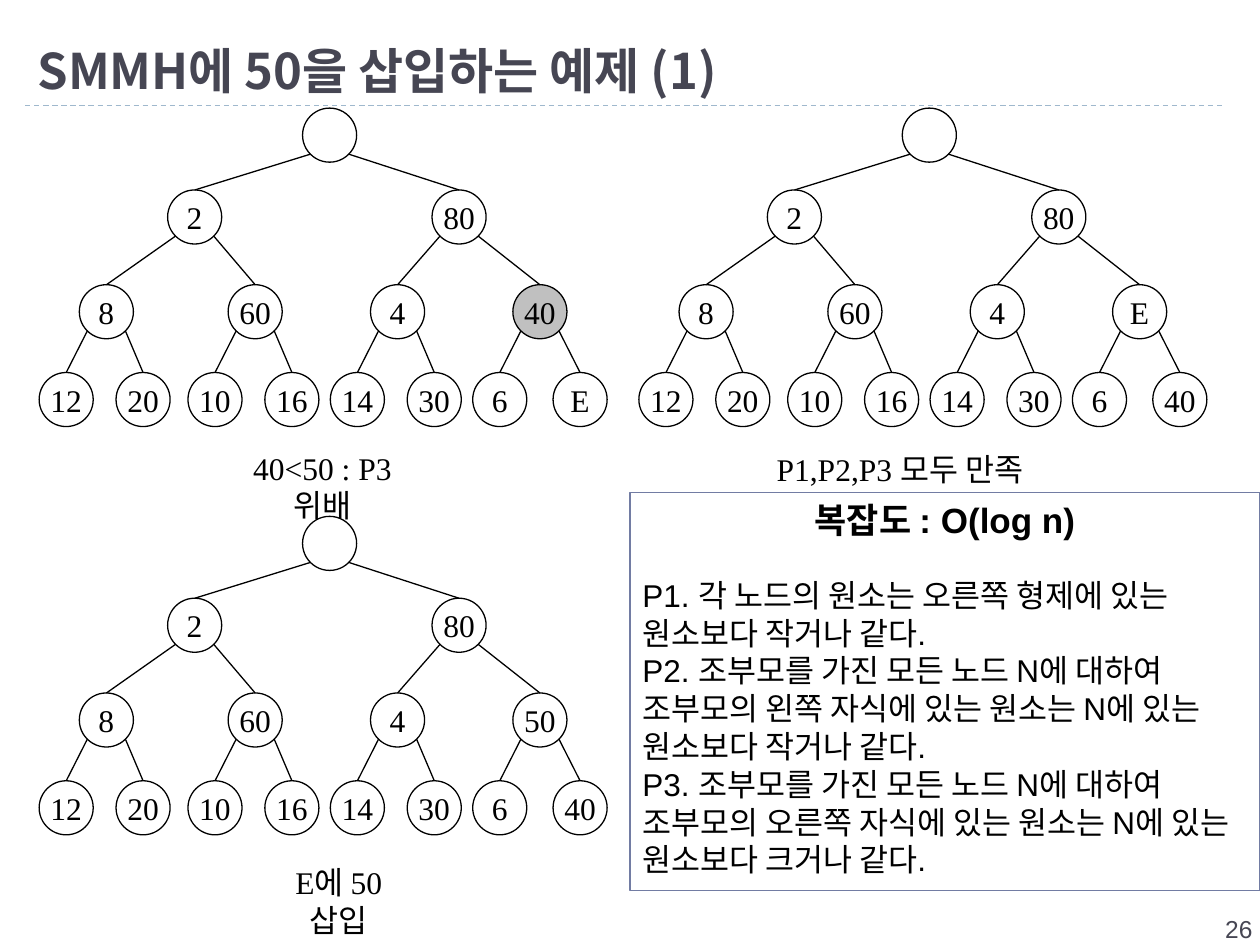
from pptx import Presentation
from pptx.dml.color import RGBColor
from pptx.enum.dml import MSO_LINE
from pptx.enum.shapes import MSO_CONNECTOR, MSO_SHAPE
from pptx.enum.text import MSO_ANCHOR, PP_ALIGN
from pptx.oxml.ns import qn
from pptx.util import Cm, Pt
from lxml import etree

DASH = MSO_LINE.DASH
STRAIGHT = MSO_CONNECTOR.STRAIGHT
OVAL, RECT = MSO_SHAPE.OVAL, MSO_SHAPE.RECTANGLE
TOP, MIDDLE, BOTTOM = MSO_ANCHOR.TOP, MSO_ANCHOR.MIDDLE, MSO_ANCHOR.BOTTOM
LEFT, CENTER, RIGHT = PP_ALIGN.LEFT, PP_ALIGN.CENTER, PP_ALIGN.RIGHT

BLACK = RGBColor(0x00, 0x00, 0x00)
SLATE = RGBColor(0x46, 0x46, 0x53)
GRAY = RGBColor(0xC0, 0xC0, 0xC0)
RULE = RGBColor(0x9F, 0xB8, 0xCD)
BORDER = RGBColor(0x72, 0x7C, 0xA3)

SANS, SERIF, KOREAN = "Arial", "Times New Roman", "Noto Sans CJK KR"

NODE = 1.09
NODE_X = [
    [5.31],
    [2.59, 7.92],
    [0.81, 3.81, 6.68, 9.55],
    [0, 1.55, 3, 4.55, 5.87, 7.42, 8.74, 10.36],
]
NODE_Y = [0, 1.65, 3.56, 5.33]
TOP_VALUES = ["", "2", "80", "8", "60", "4"]
LEAF_VALUES = ["12", "20", "10", "16", "14", "30", "6"]

PROPERTIES = [
    "P1. 각 노드의 원소는 오른쪽 형제에 있는 원소보다 작거나 같다.",
    "P2. 조부모를 가진 모든 노드 N에 대하여 조부모의 왼쪽 자식에 있는 원소는 N에 있는 원소보다 작거나 같다.",
    "P3. 조부모를 가진 모든 노드 N에 대하여 조부모의 오른쪽 자식에 있는 원소는 N에 있는 원소보다 크거나 같다.",
]


def style(p, name, size, color=BLACK, align=LEFT, bold=False):
    p.alignment = align
    p.font.name = name
    p.font.size = Pt(size)
    p.font.color.rgb = color
    p.font.bold = bold


def add_text(shapes, box, text, name, size, color=BLACK, align=LEFT, anchor=TOP, bold=False):
    tf = shapes.add_textbox(*map(Cm, box)).text_frame
    tf.word_wrap = True
    tf.vertical_anchor = anchor
    p = tf.paragraphs[0]
    p.text = text
    style(p, name, size, color, align, bold)


def add_line(shapes, start, end, color=BLACK):
    line = shapes.add_connector(STRAIGHT, *map(Cm, (*start, *end)))
    line.line.color.rgb = color
    line.line.width = Pt(0.75)
    etree.SubElement(line._element.spPr, qn("a:effectLst"))
    return line


def add_outline(shapes, kind, box, color, fill=None):
    sp = shapes.add_shape(kind, *map(Cm, box))
    sp.shadow.inherit = False
    if fill is None:
        sp.fill.background()
    else:
        sp.fill.solid()
        sp.fill.fore_color.rgb = fill
    sp.line.color.rgb = color
    sp.line.width = Pt(0.75)
    return sp


def add_node(shapes, x, y, value, fill=None):
    sp = add_outline(shapes, OVAL, (x, y, NODE, NODE), BLACK, fill)
    if value:
        tf = sp.text_frame
        tf.word_wrap = False
        tf.vertical_anchor = MIDDLE
        p = tf.paragraphs[0]
        p.text = value
        style(p, SERIF, 18, align=CENTER)


def add_heap(s, left, top, parent, last, parent_fill=None):
    shapes = s.shapes.add_group_shape().shapes
    values = iter([*TOP_VALUES, parent, *LEAF_VALUES, last])
    for level, (xs, y) in enumerate(zip(NODE_X, NODE_Y)):
        for i, x in enumerate(xs):
            value = next(values)
            fill = parent_fill if (level, i) == (2, 3) else None
            add_node(shapes, left + x, top + y, value, fill)
            if level:
                edge = 0.85 if i % 2 else 0.15
                start = (left + NODE_X[level - 1][i // 2] + edge * NODE,
                         top + NODE_Y[level - 1] + 0.85 * NODE)
                add_line(shapes, start, (left + x + NODE / 2, top + y))


def add_header(s, left, top, width, height):
    line = add_line(s.shapes, (left, top + height), (left + 24.18, top + height), RULE)
    line.line.dash_style = DASH
    add_text(s.shapes, (left, top, width, height), "SMMH에 50을 삽입하는 예제 (1)",
             KOREAN, 28, SLATE, anchor=BOTTOM, bold=True)


def add_complexity(s, left, top, width, height):
    sp = add_outline(s.shapes, RECT, (left, top, width, height), BORDER)
    tf = sp.text_frame
    tf.word_wrap = True
    tf.vertical_anchor = TOP
    p = tf.paragraphs[0]
    p.text = "복잡도 : O(log n)"
    style(p, SANS, 20, align=CENTER, bold=True)
    for i, text in enumerate(PROPERTIES):
        p = tf.add_paragraph()
        p.text = text
        style(p, SANS, 18)
        if i == 0:
            p.space_before = Pt(20)


def main():
    prs = Presentation()
    prs.slide_width, prs.slide_height = Cm(25.4), Cm(19.05)
    s = prs.slides.add_slide(prs.slide_layouts[6])

    add_header(s, 0.51, 0.43, 24.41, 1.7)
    add_heap(s, 0.79, 2.18, "40", "E", GRAY)
    add_heap(s, 12.88, 2.18, "E", "40")
    add_heap(s, 0.79, 10.41, "50", "40")
    captions = [
        ((4.25, 8.92, 4.5, 1.02), "40<50 : P3 위배"),
        ((15.14, 8.94, 6, 1.02), "P1,P2,P3 모두 만족"),
        ((5.08, 17.27, 3.5, 1.02), "E에 50 삽입"),
    ]
    for box, text in captions:
        add_text(s.shapes, box, text, SERIF, 18, align=CENTER)
    add_complexity(s, 12.7, 9.93, 12.7, 8.03)
    add_text(s.shapes, (19.99, 18.31, 5.51, 1.02), "26", SANS, 14, SLATE, RIGHT)
    prs.save("out.pptx")


if __name__ == "__main__":
    main()
